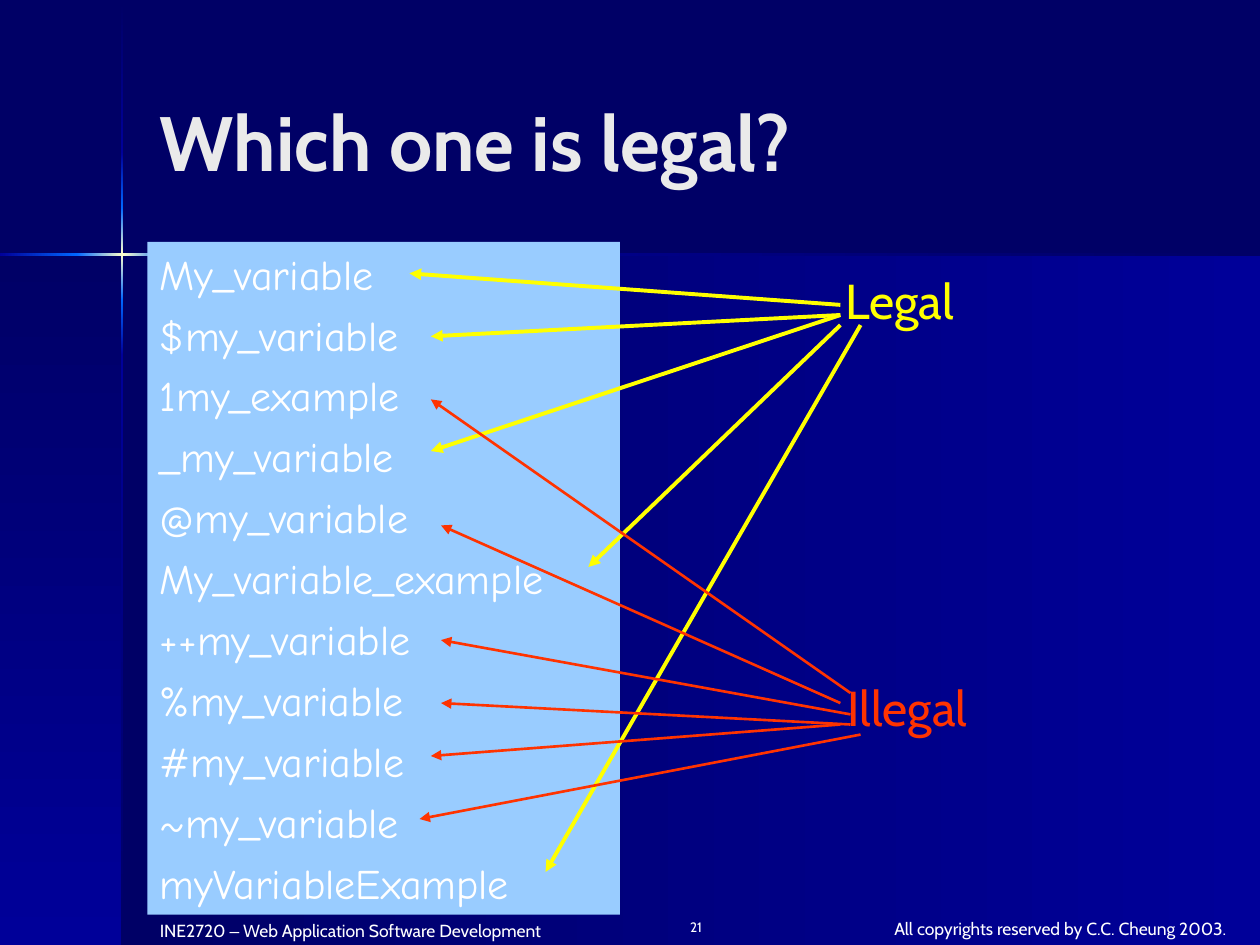
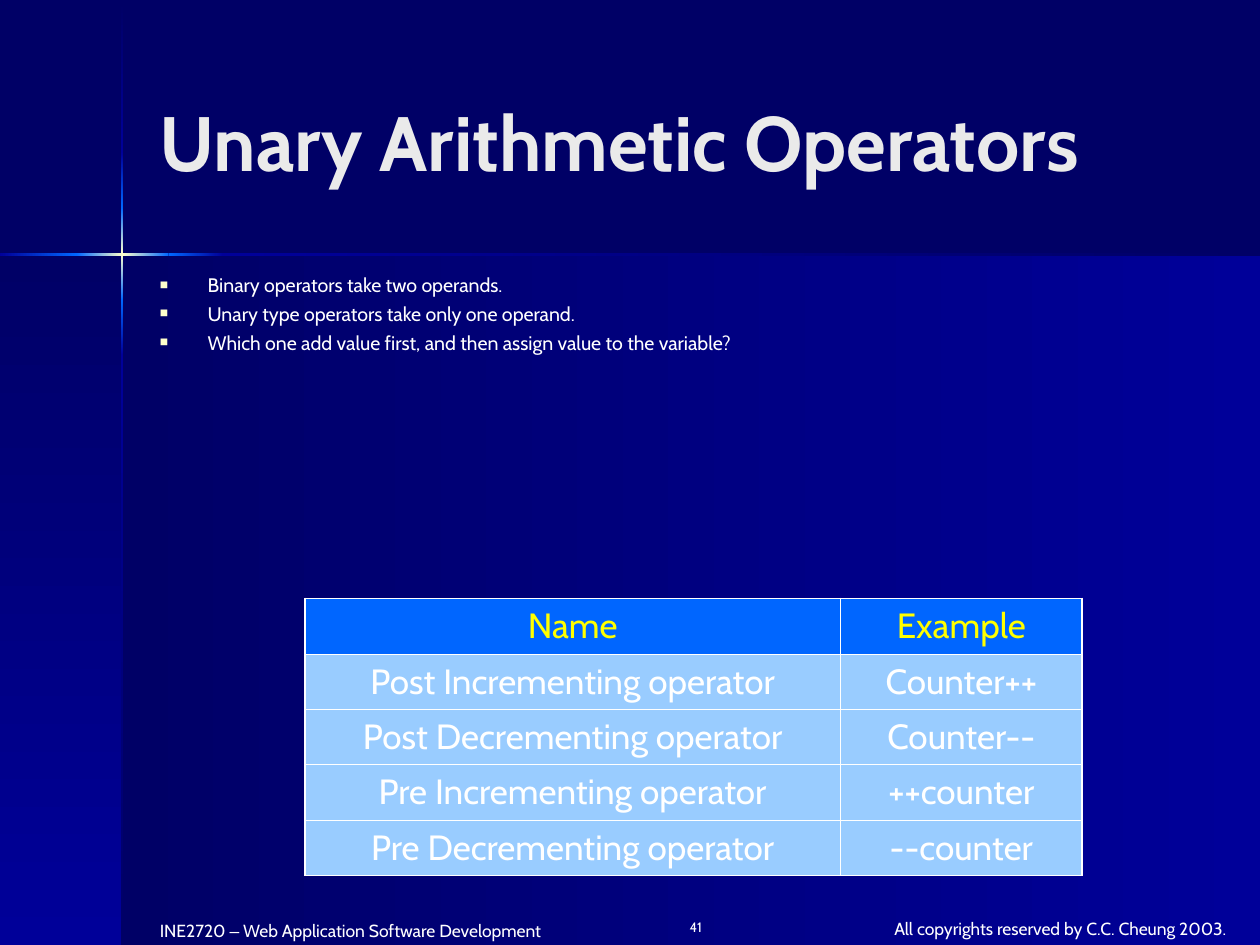
from lxml import etree
from pptx import Presentation
from pptx.dml.color import RGBColor
from pptx.enum import shapes, text
from pptx.oxml.ns import qn
from pptx.util import Inches, Pt

NAVY, BLUE, BRIGHT, SKY = "000066", "000099", "0066FF", "99CCFF"
CREAM, WHITE, PALE, YELLOW, RED = "FFFFCC", "FFFFFF", "EAEAEA", "FFFF00", "FF3300"
FONT, LIST_FONT = "Cabin", "Comic Neue"
LEFT, CENTER, RIGHT = text.PP_ALIGN.LEFT, text.PP_ALIGN.CENTER, text.PP_ALIGN.RIGHT

# Backdrop: (left, top, width, height), gradient colours, runs downwards?
PANELS = [
    ((0.97, 2.02, 9.03, 5.48), (NAVY, BLUE), False),
    ((0, 2.02, 0.97, 5.48), (NAVY, BLUE), True),
]
GLOW = (BRIGHT, CREAM, BRIGHT)
BEAM = 0.02
# Beams: start, end, gradient colours
VERTICAL_BEAM = [
    (0.01, 1.21, (NAVY, BLUE)),
    (1.21, 1.65, (BLUE, BRIGHT)),
    (1.65, 2.38, GLOW),
    (2.38, 2.82, (BRIGHT, BLUE)),
    (2.82, 7.5, (BLUE, NAVY)),
]
HORIZONTAL_BEAM = [
    (0, 0.61, (BLUE, BRIGHT)),
    (0.61, 1.34, GLOW),
    (1.34, 1.77, (BRIGHT, BLUE)),
    (1.77, 10, (BLUE, NAVY)),
]
COURSE = [("INE2720 ", FONT), ("–", "Arial"), (" Web Application Software Development", FONT)]
COPYRIGHT = "All copyrights reserved by C.C. Cheung 2003."

VARIABLES = [
    "My_variable", "$my_variable", "1my_example", "_my_variable", "@my_variable",
    "My_variable_example", "++my_variable", "%my_variable", "#my_variable",
    "~my_variable", "myVariableExample",
]
VERDICTS = [
    {
        "label": "Legal", "box": (6.61, 2.1, 1.18, 0.57), "color": YELLOW, "width": 2.25,
        "arrows": [
            ((6.67, 2.42), (3.25, 2.17)),
            ((6.67, 2.5), (3.42, 2.67)),
            ((6.67, 2.58), (4.67, 4.5)),
            ((6.83, 2.58), (4.33, 6.92)),
            ((6.67, 2.5), (3.42, 3.58)),
        ],
    },
    {
        "label": "Illegal", "box": (6.63, 5.33, 1.31, 0.57), "color": RED, "width": 1.5,
        "arrows": [
            ((6.75, 5.5), (3.42, 3.17)),
            ((6.67, 5.58), (3.5, 4.17)),
            ((6.75, 5.67), (3.5, 5.08)),
            ((6.75, 5.75), (3.5, 5.58)),
            ((6.67, 5.75), (3.42, 6)),
            ((6.83, 5.83), (3.33, 6.5)),
        ],
    },
]
OPERATOR_NOTES = [
    "Binary operators take two operands.",
    "Unary type operators take only one operand.",
    "Which one add value first, and then assign value to the variable?",
]
OPERATORS = [
    ("Name", "Example"),
    ("Post Incrementing operator", "Counter++"),
    ("Post Decrementing operator", "Counter--"),
    ("Pre Incrementing operator", "++counter"),
    ("Pre Decrementing operator", "--counter"),
]
OPERATOR_COLUMNS = (4.25, 1.92)
OPERATOR_ROW = 0.44


def rgb(color):
    return RGBColor.from_string(color)


def inches(values):
    return [Inches(value) for value in values]


def add_element(parent, tag, **attributes):
    return etree.SubElement(parent, qn(tag), attributes)


def add_bullet(paragraph):
    properties = paragraph._p.get_or_add_pPr()
    properties.set("marL", str(Inches(0.38)))
    properties.set("indent", str(-Inches(0.38)))
    add_element(add_element(properties, "a:buClr"), "a:srgbClr", val=CREAM)
    add_element(properties, "a:buSzPct", val="70000")
    add_element(properties, "a:buFont", typeface="Arial")
    add_element(properties, "a:buChar", char="■")


def write(frame, lines, size=10, color=WHITE, font=FONT, bold=False, align=LEFT,
          anchor=text.MSO_ANCHOR.TOP, before=0, spacing=None, bullets=False):
    """Fill a text frame; a line is a string or a list of (text, font) runs."""
    frame.word_wrap = True
    frame.vertical_anchor = anchor
    for index, line in enumerate(lines):
        paragraph = frame.add_paragraph() if index else frame.paragraphs[0]
        paragraph.alignment = align
        paragraph.space_before = Pt(before if index else 0)
        if spacing:
            paragraph.line_spacing = spacing
        if bullets:
            add_bullet(paragraph)
        for words, run_font in [(line, font)] if isinstance(line, str) else line:
            run = paragraph.add_run()
            run.text = words
            run.font.name = run_font
            run.font.size = Pt(size)
            run.font.bold = bold
            run.font.color.rgb = rgb(color)


def add_text(slide, box, lines, **style):
    write(slide.shapes.add_textbox(*inches(box)).text_frame, lines, **style)


def add_rectangle(slide, box):
    shape = slide.shapes.add_shape(shapes.MSO_SHAPE.RECTANGLE, *inches(box))
    shape.shadow.inherit = False
    shape.line.fill.background()
    return shape


def add_gradient(slide, box, colors, downwards):
    shape = add_rectangle(slide, box)
    shape.fill.gradient()
    shape.fill.gradient_angle = 270 if downwards else 0
    stops = shape._element.spPr.find(".//" + qn("a:gsLst"))
    for stop in list(stops):
        stops.remove(stop)
    for index, color in enumerate(colors):
        position = 100000 * index // (len(colors) - 1)
        add_element(add_element(stops, "a:gs", pos=str(position)), "a:srgbClr", val=color)


def add_arrow(slide, start, end, color, width):
    arrow = slide.shapes.add_connector(shapes.MSO_CONNECTOR.STRAIGHT, *inches(start + end))
    arrow.line.color.rgb = rgb(color)
    arrow.line.width = Pt(width)
    add_element(arrow.line._get_or_add_ln(), "a:tailEnd", type="triangle")
    add_element(arrow._element.spPr, "a:effectLst")


def set_borders(cell, widths):
    """Draw white borders; widths are left, right, top, bottom in points."""
    properties = cell._tc.get_or_add_tcPr()
    for index, (side, width) in enumerate(zip("LRTB", widths)):
        line = add_element(properties, f"a:ln{side}", w=str(Pt(width)))
        add_element(add_element(line, "a:solidFill"), "a:srgbClr", val=WHITE)
        properties.insert(index, line)


def add_operator_table(slide, left, top):
    last_row, last_column = len(OPERATORS) - 1, len(OPERATOR_COLUMNS) - 1
    box = (left, top, sum(OPERATOR_COLUMNS), OPERATOR_ROW * len(OPERATORS))
    table = slide.shapes.add_table(len(OPERATORS), len(OPERATOR_COLUMNS), *inches(box)).table
    for column, width in zip(table.columns, OPERATOR_COLUMNS):
        column.width = Inches(width)
    for row, values in enumerate(OPERATORS):
        for column, value in enumerate(values):
            cell = table.cell(row, column)
            cell.fill.solid()
            cell.fill.fore_color.rgb = rgb(SKY if row else BRIGHT)
            write(cell.text_frame, [value], size=20, align=CENTER,
                  color=WHITE if row else YELLOW)
            outer = (column == 0, column == last_column, row == 0, row == last_row)
            set_borders(cell, [1.08 if edge else 0.45 for edge in outer])


def add_slide(presentation, title, number):
    """Add a slide with the shared backdrop, footers and title."""
    slide = presentation.slides.add_slide(presentation.slide_layouts[6])
    slide.background.fill.solid()
    slide.background.fill.fore_color.rgb = rgb(NAVY)
    for panel in PANELS:
        add_gradient(slide, *panel)
    for start, end, colors in VERTICAL_BEAM:
        add_gradient(slide, (0.96, start, BEAM, end - start), colors, True)
    for start, end, colors in HORIZONTAL_BEAM:
        add_gradient(slide, (start, 2.01, end - start, BEAM), colors, False)
    add_text(slide, (1.17, 7.25, 3.33, 0.25), [COURSE])
    add_text(slide, (6.83, 7.24, 3.17, 0.26), [COPYRIGHT], align=CENTER)
    add_text(slide, (5, 7.24, 0.67, 0.26), [number], size=7.8, align=RIGHT)
    add_text(slide, (1.17, 0.33, 8.25, 1.57), [title], size=44, color=PALE, bold=True,
             anchor=text.MSO_ANCHOR.MIDDLE)
    return slide


def add_legal_names_slide(presentation):
    slide = add_slide(presentation, "Which one is legal?", "21")
    names = add_rectangle(slide, (1.17, 1.92, 3.75, 5.34))
    names.fill.solid()
    names.fill.fore_color.rgb = rgb(SKY)
    write(names.text_frame, VARIABLES, size=24, font=LIST_FONT, before=6)
    for verdict in VERDICTS:
        color = verdict["color"]
        add_text(slide, verdict["box"], [verdict["label"]], size=28, color=color)
        for start, end in verdict["arrows"]:
            add_arrow(slide, start, end, color, verdict["width"])


def add_unary_operators_slide(presentation):
    slide = add_slide(presentation, "Unary Arithmetic Operators", "41")
    add_text(slide, (1.17, 2.17, 8.25, 0.67), OPERATOR_NOTES, size=11.2,
             before=7, spacing=0.7, bullets=True)
    add_operator_table(slide, 2.42, 4.75)


def main():
    presentation = Presentation()
    presentation.slide_width, presentation.slide_height = Inches(10), Inches(7.5)
    add_legal_names_slide(presentation)
    add_unary_operators_slide(presentation)
    presentation.save("out.pptx")


if __name__ == "__main__":
    main()
